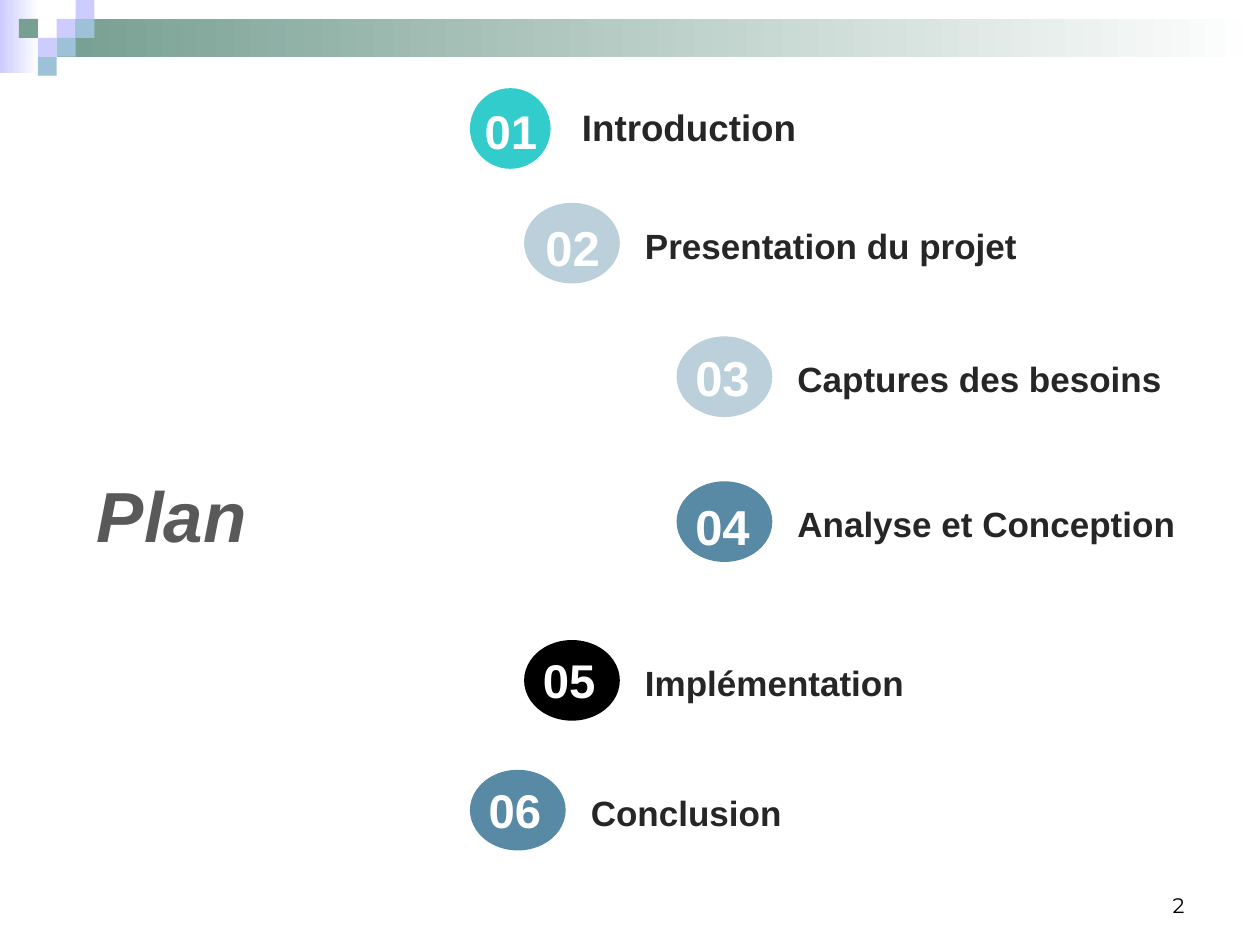
from dataclasses import dataclass

from pptx import Presentation
from pptx.dml.color import RGBColor
from pptx.enum.shapes import MSO_SHAPE
from pptx.enum.text import MSO_ANCHOR, MSO_AUTO_SIZE, PP_ALIGN
from pptx.util import Pt

RECT, OVAL = MSO_SHAPE.RECTANGLE, MSO_SHAPE.OVAL
TOP, MIDDLE, BOTTOM = MSO_ANCHOR.TOP, MSO_ANCHOR.MIDDLE, MSO_ANCHOR.BOTTOM
LEFT, CENTER, RIGHT = PP_ALIGN.LEFT, PP_ALIGN.CENTER, PP_ALIGN.RIGHT
GROW, FIXED = MSO_AUTO_SIZE.SHAPE_TO_FIT_TEXT, MSO_AUTO_SIZE.NONE

SCALE = 9144  # EMU per px, 100 px to the inch
CELL = 15     # side of a corner square


@dataclass(frozen=True)
class Theme:
    font: str = "Arial"
    page_font: str = "Montserrat"
    white: str = "FFFFFF"
    black: str = "000000"
    title: str = "595959"
    label: str = "262626"
    lilac: str = "CCCCFF"
    green: str = "779F92"
    sky: str = "9DC2D7"
    teal: str = "33CCCC"
    pale: str = "BBD0DB"
    steel: str = "5889A5"
    title_size: float = 40.5
    page_size: float = 12


THEME = Theme()


@dataclass(frozen=True)
class Box:
    x: int
    y: int
    w: int
    h: int

    def emu(self) -> tuple[int, ...]:
        return tuple(v * SCALE for v in (self.x, self.y, self.w, self.h))


@dataclass(frozen=True)
class Style:
    size: float
    color: str
    font: str = THEME.font
    bold: bool = True
    italic: bool = False
    align: PP_ALIGN = LEFT
    anchor: MSO_ANCHOR = TOP
    fit: MSO_AUTO_SIZE = GROW


@dataclass(frozen=True)
class Step:
    num: str
    label: str
    oval: Box
    fill: str
    num_box: Box
    num_size: int = 28
    num_align: PP_ALIGN = LEFT
    size: int = 20
    gap: int = 10   # oval to label
    drop: int = 12  # oval top to label top


STEPS = [
    Step("01", "Introduction", Box(373, 70, 64, 64), THEME.teal,
         Box(366, 76, 79, 56), 27, CENTER, 21, 15, 8),
    Step("02", "Presentation du projet", Box(416, 161, 76, 64), THEME.pale,
         Box(423, 168, 64, 57)),
    Step("03", "Captures des besoins", Box(537, 267, 76, 64), THEME.pale,
         Box(542, 271, 77, 57)),
    Step("04", "Analyse et Conception", Box(537, 382, 76, 64), THEME.steel,
         Box(542, 389, 77, 57)),
    Step("05", "Implémentation", Box(416, 508, 76, 64), THEME.black,
         Box(421, 512, 76, 56), 27),
    Step("06", "Conclusion", Box(373, 611, 76, 64), THEME.steel,
         Box(378, 615, 67, 56), 27),
]

# Corner squares: column, row, colour
SQUARES = [
    (3, 1, THEME.lilac), (4, 0, THEME.lilac), (4, 1, THEME.sky),
    (2, 2, THEME.lilac), (1, 1, THEME.green), (3, 2, THEME.sky),
    (2, 3, THEME.sky),
]


def add_shape(slide, kind: MSO_SHAPE, box: Box, color: str, fade: str = "") -> None:
    """Draw a flat shape, or one that fades to the right."""
    shape = slide.shapes.add_shape(kind, *box.emu())
    shape.shadow.inherit = False
    shape.line.fill.background()
    if fade:
        shape.fill.gradient()
        shape.fill.gradient_angle = 0
        for stop, tone in zip(shape.fill.gradient_stops, (color, fade)):
            stop.color.rgb = RGBColor.from_string(tone)
    else:
        shape.fill.solid()
        shape.fill.fore_color.rgb = RGBColor.from_string(color)


def add_text(slide, text: str, box: Box, style: Style) -> None:
    frame = slide.shapes.add_textbox(*box.emu()).text_frame
    frame.word_wrap = True
    frame.auto_size = style.fit
    frame.vertical_anchor = style.anchor
    line = frame.paragraphs[0]
    line.text = text
    line.alignment = style.align
    font = line.font
    font.name, font.size = style.font, Pt(style.size)
    font.bold, font.italic = style.bold, style.italic
    font.color.rgb = RGBColor.from_string(style.color)


def add_step(slide, step: Step) -> None:
    oval = step.oval
    add_shape(slide, OVAL, oval, step.fill)
    add_text(slide, step.num, step.num_box,
             Style(step.num_size, THEME.white, align=step.num_align))
    spot = Box(oval.x + oval.w + step.gap, oval.y + step.drop, 375, 44)
    add_text(slide, step.label, spot, Style(step.size, THEME.label))


def main() -> None:
    deck = Presentation()
    deck.slide_width, deck.slide_height = 1000 * SCALE, 750 * SCALE
    slide = deck.slides.add_slide(deck.slide_layouts[6])

    # Top band and corner squares
    add_shape(slide, RECT, Box(0, 0, 31, 58), THEME.lilac, THEME.white)
    add_shape(slide, RECT, Box(45, 15, 955, 30), THEME.green, THEME.white)
    for col, row, color in SQUARES:
        add_shape(slide, RECT, Box(col * CELL, row * CELL, CELL, CELL), color)

    # Page number and title
    add_text(slide, "2", Box(717, 683, 233, 50),
             Style(THEME.page_size, THEME.black, THEME.page_font, bold=False,
                   align=RIGHT, anchor=BOTTOM, fit=FIXED))
    add_text(slide, "Plan", Box(67, 369, 223, 78),
             Style(THEME.title_size, THEME.title, italic=True, anchor=MIDDLE))

    # Steps of the plan
    for step in STEPS:
        add_step(slide, step)

    deck.save("out.pptx")


if __name__ == "__main__":
    main()
